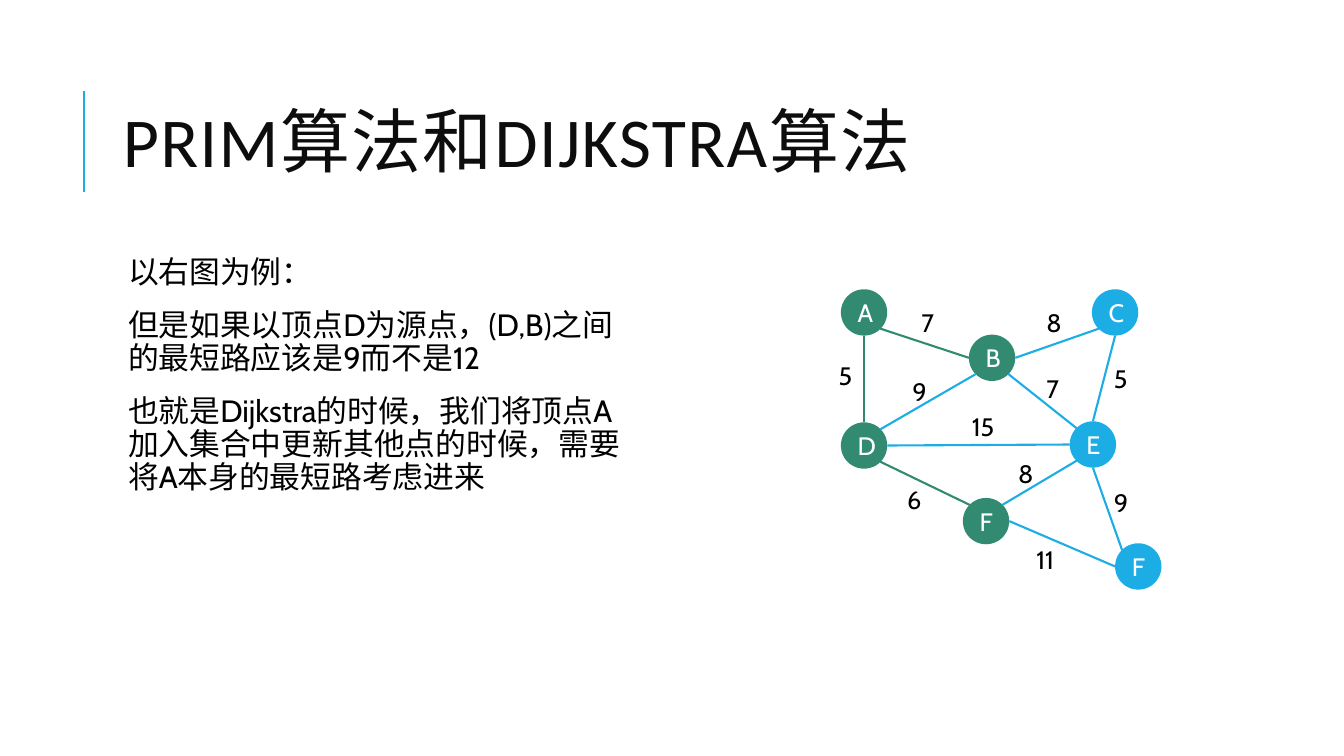
"""Build the slide comparing Prim's and Dijkstra's algorithms on a weighted graph."""
from dataclasses import dataclass
from math import cos, radians, sin

from lxml.etree import SubElement
from pptx import Presentation
from pptx.dml.color import RGBColor
from pptx.enum.shapes import MSO_CONNECTOR, MSO_SHAPE
from pptx.enum.text import MSO_ANCHOR as Anchor, MSO_AUTO_SIZE as AutoSize, PP_ALIGN as Align
from pptx.oxml.ns import qn
from pptx.slide import Slide
from pptx.util import Pt

EMU_PER_PX = 9144
NODE_SIZE = 46
COLORS = {
    "visited": "328B71",
    "accent": "1CADE4",
    "title": "0D0D0D",
    "text": "000000",
    "node_text": "FFFFFF",
}
ANGLES = {"E": 0, "SE": 45, "S": 90, "SW": 135, "W": 180, "NW": 225, "N": 270, "NE": 315}


@dataclass(frozen=True)
class Node:
    text: str
    left: int
    top: int
    color: str

    def site(self, side: str) -> tuple[int, int]:
        radius = NODE_SIZE / 2
        angle = radians(ANGLES[side])
        return (
            round(self.left + radius + radius * cos(angle)),
            round(self.top + radius + radius * sin(angle)),
        )


@dataclass(frozen=True)
class Edge:
    start: str
    start_side: str
    end: str
    end_side: str
    weight: int
    label_left: int
    label_top: int
    color: str = "accent"


NODES = {
    "A": Node("A", 834, 287, "visited"),
    "B": Node("B", 961, 332, "visited"),
    "C": Node("C", 1083, 287, "accent"),
    "D": Node("D", 834, 419, "visited"),
    "E": Node("E", 1061, 418, "accent"),
    "F": Node("F", 955, 494, "visited"),
    "F2": Node("F", 1106, 539, "accent"),
}
EDGES = [
    Edge("A", "SE", "B", "W", 7, 904, 300, "visited"),
    Edge("B", "E", "C", "SW", 8, 1028, 300),
    Edge("A", "S", "D", "N", 5, 822, 353, "visited"),
    Edge("B", "SW", "D", "NE", 9, 895, 368),
    Edge("C", "S", "E", "N", 5, 1095, 356),
    Edge("B", "SE", "E", "NW", 7, 1028, 365),
    Edge("D", "E", "E", "W", 15, 954, 403),
    Edge("E", "SW", "F", "NE", 8, 1000, 450),
    Edge("D", "SE", "F", "NW", 6, 890, 476, "visited"),
    Edge("E", "S", "F2", "NW", 9, 1095, 479),
    Edge("F", "E", "F2", "W", 11, 1018, 535),
]
BODY = [
    "以右图为例：",
    "但是如果以顶点D为源点，(D,B)之间的最短路应该是9而不是12",
    "也就是Dijkstra的时候，我们将顶点A加入集合中更新其他点的时候，需要将A本身的最短路考虑进来",
]


def px(value: int) -> int:
    return value * EMU_PER_PX


def rgb(name: str) -> RGBColor:
    return RGBColor.from_string(COLORS[name])


def set_font(paragraph, size: int, color: str, name: str = "Cabin") -> None:
    font = paragraph.font
    font.name, font.size = name, Pt(size)
    font.color.rgb = rgb(color)


def add_frame(slide: Slide, left: int, top: int, width: int, height: int):
    return slide.shapes.add_textbox(px(left), px(top), px(width), px(height)).text_frame


def add_line(slide: Slide, start: tuple[int, int], end: tuple[int, int], color: str) -> None:
    line = slide.shapes.add_connector(MSO_CONNECTOR.STRAIGHT, *map(px, start + end))
    line.line.color.rgb = rgb(color)
    line.line.width = Pt(1.5)
    SubElement(line._element.spPr, qn("a:effectLst"))


def add_title(slide: Slide) -> None:
    add_line(slide, (83, 190), (83, 90), "accent")
    frame = add_frame(slide, 112, 64, 1063, 164)
    frame.word_wrap = True
    frame.vertical_anchor = Anchor.MIDDLE
    paragraph = frame.paragraphs[0]
    paragraph.text = "PRIM算法和DIJKSTRA算法"
    paragraph.line_spacing = 0.8
    set_font(paragraph, 50, "title", "Calibri")
    paragraph._p.pPr.find(qn("a:defRPr")).set("spc", "100")


def add_body(slide: Slide) -> None:
    frame = add_frame(slide, 112, 250, 520, 440)
    frame.word_wrap = True
    frame.margin_left = frame.margin_right = frame.margin_top = frame.margin_bottom = px(5)
    frame.text = "\n".join(BODY)
    for paragraph in frame.paragraphs:
        paragraph.line_spacing = 0.9
        paragraph.space_before, paragraph.space_after = Pt(12), Pt(2)
        paragraph._p.get_or_add_pPr().set("marL", str(px(10)))
        set_font(paragraph, 22, "text")


def add_node(slide: Slide, node: Node) -> None:
    shape = slide.shapes.add_shape(
        MSO_SHAPE.OVAL, px(node.left), px(node.top), px(NODE_SIZE), px(NODE_SIZE)
    )
    shape.shadow.inherit = False
    shape.fill.solid()
    shape.fill.fore_color.rgb = rgb(node.color)
    shape.line.fill.background()
    frame = shape.text_frame
    frame.vertical_anchor = Anchor.MIDDLE
    paragraph = frame.paragraphs[0]
    paragraph.text = node.text
    paragraph.alignment = Align.CENTER
    set_font(paragraph, 18, "node_text")


def add_edge(slide: Slide, edge: Edge) -> None:
    start = NODES[edge.start].site(edge.start_side)
    end = NODES[edge.end].site(edge.end_side)
    add_line(slide, start, end, edge.color)
    label = str(edge.weight)
    frame = add_frame(slide, edge.label_left, edge.label_top, 20 + 14 * len(label), 40)
    frame.word_wrap = False
    frame.auto_size = AutoSize.SHAPE_TO_FIT_TEXT
    paragraph = frame.paragraphs[0]
    paragraph.text = label
    set_font(paragraph, 18, "text")


def main() -> None:
    presentation = Presentation()
    presentation.slide_width, presentation.slide_height = px(1333), px(750)
    slide = presentation.slides.add_slide(presentation.slide_layouts[6])
    add_title(slide)
    add_body(slide)
    for node in NODES.values():
        add_node(slide, node)
    for edge in EDGES:
        add_edge(slide, edge)
    presentation.save("out.pptx")


if __name__ == "__main__":
    main()
